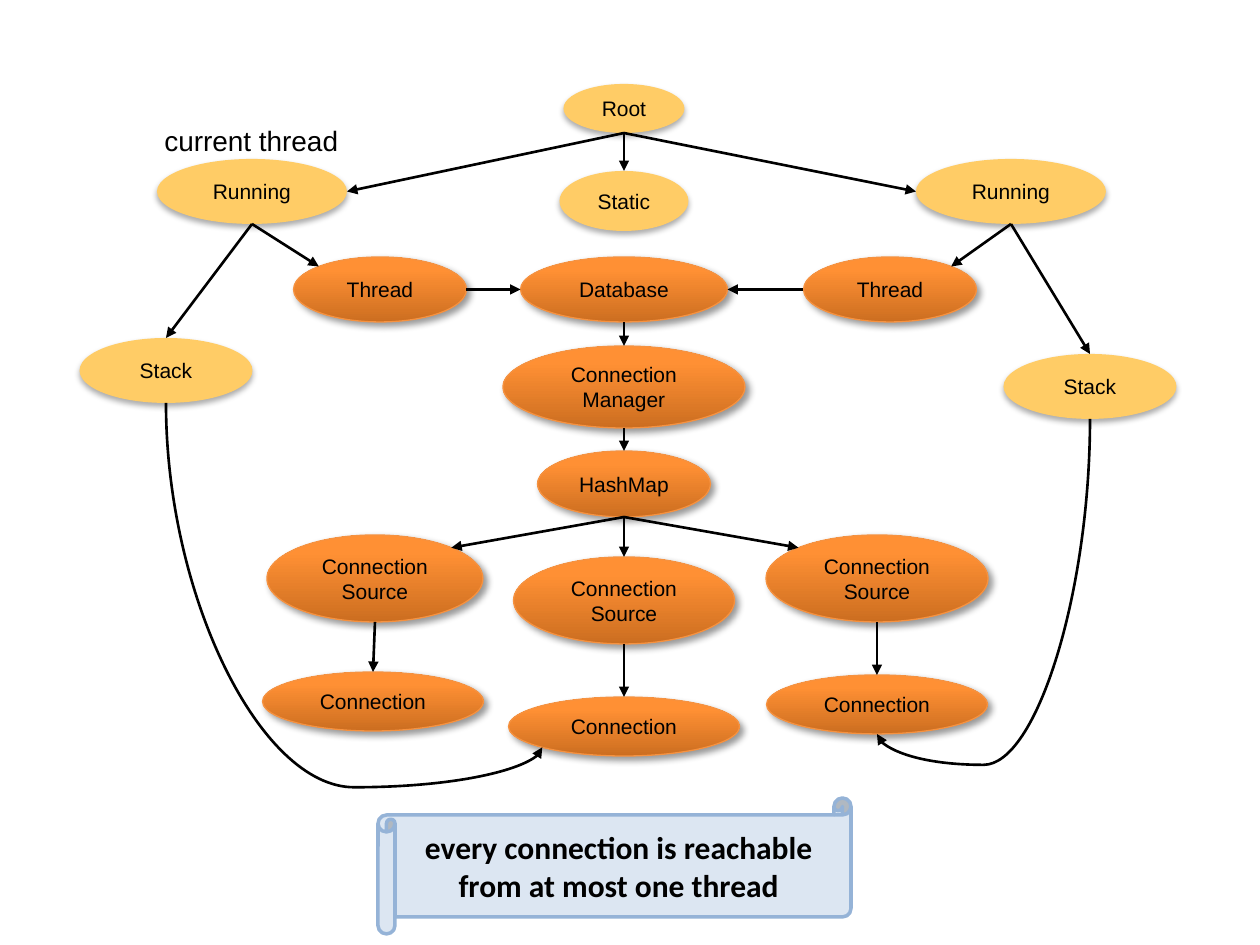
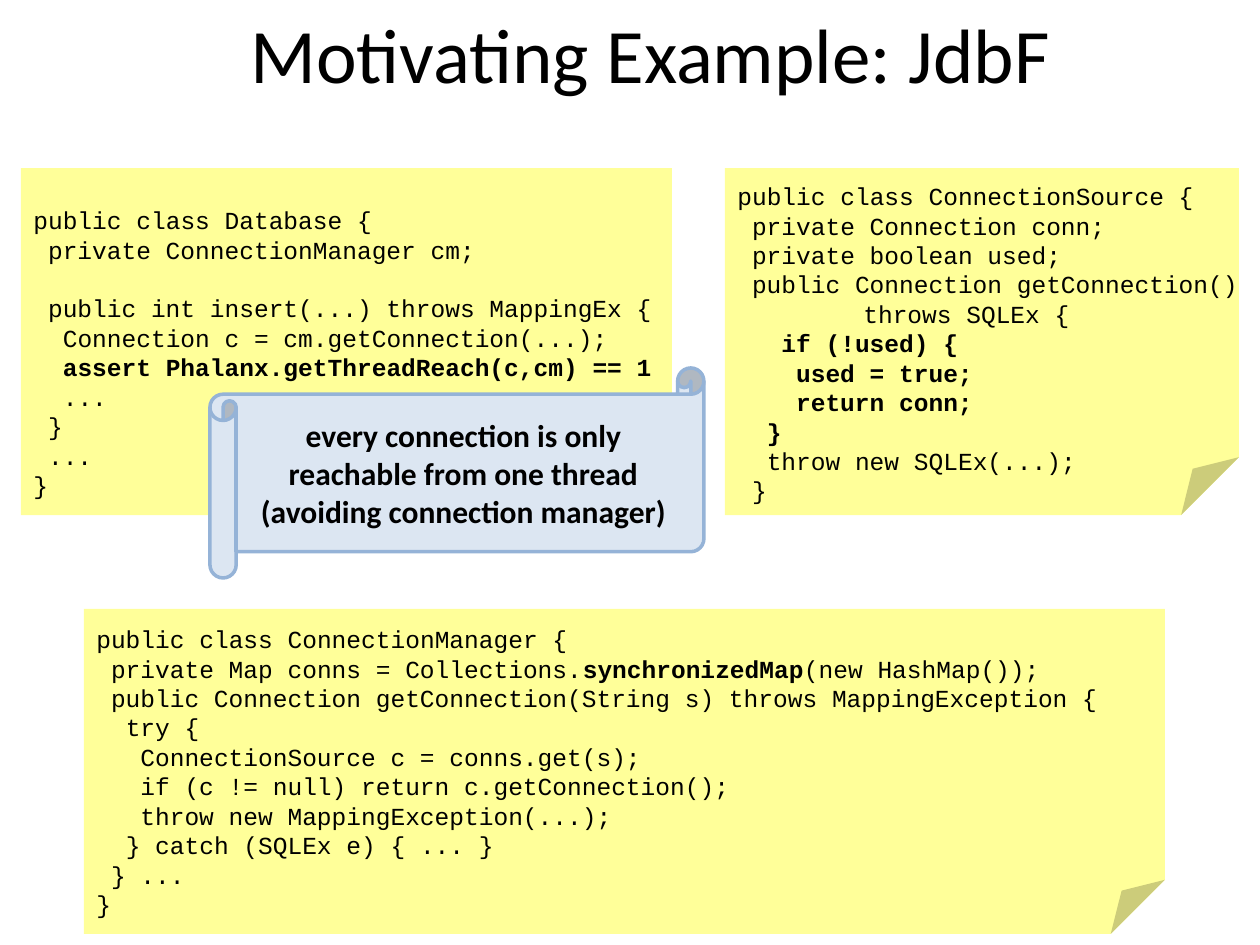
from lxml import etree
from pptx import Presentation
from pptx import util as u
from pptx.dml.color import RGBColor
from pptx.enum import shapes, text
from pptx.oxml import ns

EMU_PER_PX = 914400 / 126
BLACK, NOTE, SCROLL, SCROLL_EDGE = "000000", "FFFF99", "DCE6F2", "95B3D7"
LINE_PITCH, CHAR_WIDTH = 16.8, 8.4
CENTER = 624

STYLES = {
    "runtime": {"fill": "FFCC66", "shadow": (32, 3.5, 2.2, 90)},
    "object": {"bottom": "CC6E20", "top": "FF9034", "edge": "F69240",
               "shadow": (40, 4, 3, 45)},
}

NODES = {
    "root": ("Root", "runtime", CENTER, 84, 121, 49),
    "static": ("Static", "runtime", CENTER, 171, 129, 60),
    "running 1": ("Running", "runtime", 252, 159, 190, 65),
    "running 2": ("Running", "runtime", 1011, 159, 190, 65),
    "stack 1": ("Stack", "runtime", 166, 338, 173, 65),
    "stack 2": ("Stack", "runtime", 1090, 354, 173, 65),
    "thread 1": ("Thread", "object", 380, 257, 173, 65),
    "thread 2": ("Thread", "object", 890, 257, 173, 65),
    "database": ("Database", "object", CENTER, 257, 207, 65),
    "manager": ("Connection\nManager", "object", CENTER, 346, 242, 82),
    "map": ("HashMap", "object", CENTER, 451, 173, 66),
    "source 1": ("Connection\nSource", "object", 375, 535, 216, 87),
    "source 2": ("Connection\nSource", "object", CENTER, 557, 221, 87),
    "source 3": ("Connection\nSource", "object", 877, 535, 222, 87),
    "connection 1": ("Connection", "object", 373, 672, 221, 59),
    "connection 2": ("Connection", "object", CENTER, 697, 231, 59),
    "connection 3": ("Connection", "object", 877, 675, 221, 59),
}

DIAGONAL = 0.5 ** 0.5
SITES = {"top": (0, -1), "bottom": (0, 1), "left": (-1, 0), "right": (1, 0),
         "top left": (-DIAGONAL, -DIAGONAL), "top right": (DIAGONAL, -DIAGONAL),
         "bottom left": (-DIAGONAL, DIAGONAL)}

ARROWS = [
    ("root", "bottom", "running 1", "right"),
    ("root", "bottom", "static", "top"),
    ("root", "bottom", "running 2", "left"),
    ("running 1", "bottom", "stack 1", "top"),
    ("running 1", "bottom", "thread 1", "top left"),
    ("running 2", "bottom", "stack 2", "top"),
    ("running 2", "bottom", "thread 2", "top right"),
    ("thread 1", "right", "database", "left"),
    ("thread 2", "left", "database", "right"),
    ("database", "bottom", "manager", "top"),
    ("manager", "bottom", "map", "top"),
    ("map", "bottom", "source 1", "top right"),
    ("map", "bottom", "source 2", "top"),
    ("map", "bottom", "source 3", "top left"),
    ("source 1", "bottom", "connection 1", "top"),
    ("source 2", "bottom", "connection 2", "top"),
    ("source 3", "bottom", "connection 3", "top"),
]

CURVES = [
    ("stack 1", "bottom", "connection 2", "bottom left", 40),
    ("stack 2", "bottom", "connection 3", "bottom", 31),
]

REACHABLE = "every connection is reachable from at most one thread"
AVOIDING = ("every connection is only reachable from one thread\n"
            "(avoiding connection manager)")

NOTES = [(725, 168, 514, 347), (84, 609, 1081, 325), (21, 168, 651, 347)]

# Each line: depth in characters, then regular and bold text in turn; None is a gap.
SOURCE_CODE = [
    (0, "public class ConnectionSource {"),
    (1, "private Connection conn;"),
    (1, "private boolean used;"),
    (1, "public Connection getConnection()"),
    (8.57, "throws SQLEx {"),
    (3, "", "if (!used) {"),
    (4, "", "used = true;"),
    (4, "", "return conn;"),
    (2, "", "}"),
    (2, "throw new SQLEx(...);"),
    (1, "}"),
]
DATABASE_CODE = [
    (0, "public class Database {"),
    (1, "private ConnectionManager cm;"),
    None,
    (1, "public int insert(...) throws MappingEx {"),
    (2, "Connection c = cm.getConnection(...);"),
    (2, "", "assert Phalanx.getThreadReach(c,cm) == 1"),
    (2, "..."),
    (1, "}"),
    (1, "..."),
    (0, "}"),
]
MANAGER_CODE = [
    (0, "public class ConnectionManager {"),
    (1, "private Map conns = Collections.", "synchronizedMap", "(new HashMap());"),
    (1, "public Connection getConnection(String s) throws MappingException {"),
    (2, "try {"),
    (3, "ConnectionSource c = conns.get(s);"),
    (3, "if (c != null) return c.getConnection();"),
    (3, "throw new MappingException(...);"),
    (2, "} catch (SQLEx e) { ... }"),
    (1, "} ..."),
    (0, "}"),
]
LISTINGS = [
    (SOURCE_CODE, (725, 175, 567, 339)),
    (DATABASE_CODE, (21, 199, 661, 310)),
    (MANAGER_CODE, (84, 618, 1071, 310)),
]


def px(*lengths):
    return [u.Emu(round(length * EMU_PER_PX)) for length in lengths]


def rgb(code):
    return RGBColor.from_string(code)


def set_font(paragraph, name, size, bold=None):
    font = paragraph.font
    font.name, font.size, font.bold = name, u.Pt(size), bold
    font.color.rgb = rgb(BLACK)


def write(shape, words, name, size, bold=None, align=text.PP_ALIGN.CENTER):
    frame = shape.text_frame
    frame.word_wrap = True
    frame.text = words
    for paragraph in frame.paragraphs:
        paragraph.alignment = align
        set_font(paragraph, name, size, bold)
    return frame


def add_flat(slide, preset, box, fill=None, edge=None, width=1):
    shape = slide.shapes.add_shape(preset, *px(*box))
    shape.shadow.inherit = False
    if fill:
        shape.fill.solid()
        shape.fill.fore_color.rgb = rgb(fill)
    if edge:
        shape.line.color.rgb = rgb(edge)
        shape.line.width = u.Pt(width)
    else:
        shape.line.fill.background()
    return shape


def add_shadow(shape, alpha, blur, distance, angle):
    effects = shape._element.spPr.find(ns.qn("a:effectLst"))
    shadow = etree.SubElement(effects, ns.qn("a:outerShdw"), blurRad=str(u.Pt(blur)),
                              dist=str(u.Pt(distance)), dir=str(angle * 60000),
                              rotWithShape="0")
    color = etree.SubElement(shadow, ns.qn("a:srgbClr"), val=BLACK)
    etree.SubElement(color, ns.qn("a:alpha"), val=str(alpha * 1000))


def add_node(slide, words, kind, center, top, width, height):
    style = STYLES[kind]
    node = add_flat(slide, shapes.MSO_SHAPE.OVAL, (center - width / 2, top, width, height),
                    style.get("fill"), style.get("edge"), 0.75)
    if "bottom" in style:
        node.fill.gradient()
        node.fill.gradient_angle = 90
        for stop, part, position in zip(node.fill.gradient_stops, ("bottom", "top"), (0, 0.8)):
            stop.color.rgb = rgb(style[part])
            stop.position = position
    add_shadow(node, *style["shadow"])
    write(node, words, "Arial", 12).vertical_anchor = text.MSO_ANCHOR.MIDDLE


def site(node, side):
    _, _, center, top, width, height = NODES[node]
    across, down = SITES[side]
    return center + across * width / 2, top + height / 2 + down * height / 2


def add_link(slide, kind, start, end):
    link = slide.shapes.add_connector(kind, *px(*start, *end))
    link.line.color.rgb = rgb(BLACK)
    link.line.width = u.Pt(1.5)
    etree.SubElement(link.line._get_or_add_ln(), ns.qn("a:tailEnd"), type="triangle")
    etree.SubElement(link._element.spPr, ns.qn("a:effectLst"))
    return link


def add_curve(slide, start, end, drop):
    (x1, y1), (x2, y2) = start, end
    length, spread = y2 - y1, abs(x2 - x1)
    left, top = (x1 + x2 - length) / 2, (y1 + y2 - spread) / 2
    curve = add_link(slide, shapes.MSO_CONNECTOR.CURVE, (left, top),
                     (left + length, top + spread))
    properties = curve._element.spPr
    frame = properties.find(ns.qn("a:xfrm"))
    frame.set("rot", str((270 if x2 > x1 else 90) * 60000))
    if x2 > x1:
        frame.set("flipH", "1")
    geometry = properties.find(ns.qn("a:prstGeom"))
    guides = geometry.find(ns.qn("a:avLst"))
    if guides is None:
        guides = etree.SubElement(geometry, ns.qn("a:avLst"))
    bend = round((1 + drop / length) * 100000)
    etree.SubElement(guides, ns.qn("a:gd"), name="adj1", fmla=f"val {bend}")


def add_scroll(slide, words, box):
    scroll = add_flat(slide, shapes.MSO_SHAPE.HORIZONTAL_SCROLL, box, SCROLL, SCROLL_EDGE, 2)
    write(scroll, words, "Calibri", 18, True).vertical_anchor = text.MSO_ANCHOR.MIDDLE


def add_listing(slide, lines, box):
    frame = slide.shapes.add_textbox(*px(*box)).text_frame
    frame.word_wrap = True
    paragraph, gap = frame.paragraphs[0], 0
    for number, line in enumerate(lines):
        if line is None:
            gap = LINE_PITCH
            continue
        if number:
            paragraph = frame.add_paragraph()
        depth, *parts = line
        set_font(paragraph, "Courier New", 14)
        paragraph.line_spacing = u.Pt(LINE_PITCH)
        paragraph.space_before = u.Pt(gap)
        paragraph._p.get_or_add_pPr().set("marL", str(u.Pt(depth * CHAR_WIDTH)))
        gap = 0
        for position, part in enumerate(parts):
            if part:
                run = paragraph.add_run()
                run.text = part
                run.font.bold = position % 2 == 1
    return frame


deck = Presentation()
deck.slide_width, deck.slide_height = px(1260, 945)
blank = deck.slide_layouts[6]

graph = deck.slides.add_slide(blank)
for node in NODES.values():
    add_node(graph, *node)
for origin, leaving, target, entering in ARROWS:
    add_link(graph, shapes.MSO_CONNECTOR.STRAIGHT, site(origin, leaving), site(target, entering))
for origin, leaving, target, entering, drop in CURVES:
    add_curve(graph, site(origin, leaving), site(target, entering), drop)
current = graph.shapes.add_textbox(*px(152, 117, 226, 47))
write(current, "current thread", "Arial", 16, align=text.PP_ALIGN.LEFT)
add_scroll(graph, REACHABLE, (378, 798, 473, 136))

example = deck.slides.add_slide(blank)
for note in NOTES:
    add_flat(example, shapes.MSO_SHAPE.FOLDED_CORNER, note, NOTE)
title = example.shapes.add_textbox(*px(115, -10, 1071, 126))
write(title, "Motivating Example: JdbF", "Calibri", 44).vertical_anchor = text.MSO_ANCHOR.MIDDLE
for lines, box in LISTINGS:
    add_listing(example, lines, box)
add_scroll(example, AVOIDING, (210, 368, 494, 210))

deck.save("out.pptx")
